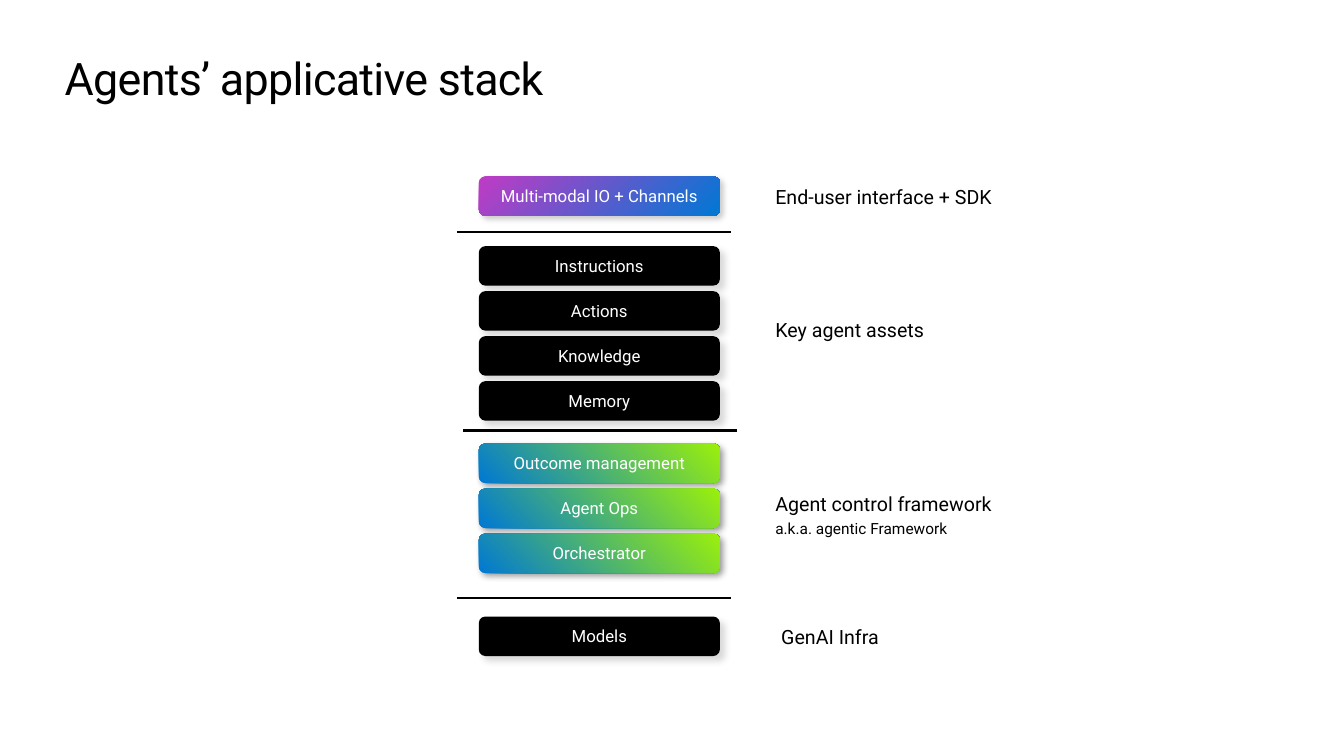
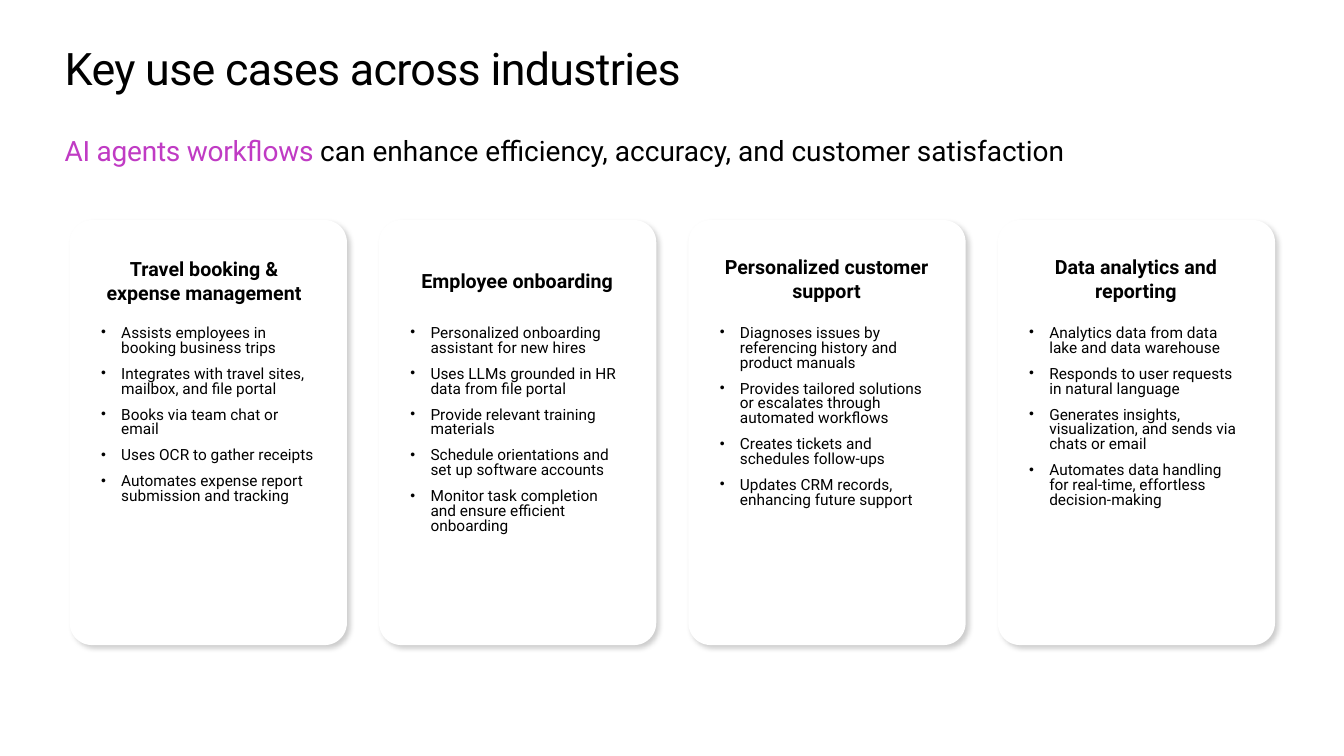
import pptx
import pptx.util
import pptx.dml.color
import pptx.enum.shapes
import pptx.enum.text
import pptx.oxml
import pptx.oxml.ns
import lxml.etree

Pt = pptx.util.Pt
RGB = pptx.dml.color.RGBColor.from_string
ALIGN = pptx.enum.text.PP_ALIGN
ANCHOR = pptx.enum.text.MSO_ANCHOR
ROUNDED = pptx.enum.shapes.MSO_SHAPE.ROUNDED_RECTANGLE
qn = pptx.oxml.ns.qn

COLORS = {"ink": "000000", "paper": "FFFFFF", "purple": "C03BC4",
          "blue": "0078D4", "lime": "9BF00B", "smoke": "454142"}
FONT = "Roboto"

prs = pptx.Presentation()
prs.slide_width = pptx.util.Inches(13.3333)
prs.slide_height = pptx.util.Inches(7.5)
cell = prs.slide_width / 160
LEFT, WIDTH = 7.7, 144.6


def panel(s, x, y, w, h, fills, angle, shadow):
    sp = s.shapes.add_shape(ROUNDED, *[round(v * cell) for v in (x, y, w, h)])
    sp.line.fill.background()
    if len(fills) == 1:
        sp.fill.solid()
        sp.fill.fore_color.rgb = RGB(COLORS[fills[0]])
    else:
        sp.fill.gradient()
        sp.fill.gradient_angle = angle
        for stop, name, position in zip(sp.fill.gradient_stops, fills, (0, 1)):
            stop.color.rgb = RGB(COLORS[name])
            stop.position = position
    sp.shadow.inherit = False
    color, alpha, blur, dist = shadow
    effects = sp._element.spPr.find(qn("a:effectLst"))
    outer = lxml.etree.SubElement(effects, qn("a:outerShdw"), blurRad=str(Pt(blur)),
                                  dist=str(Pt(dist)), dir="2700000", algn="tl", rotWithShape="0")
    clr = lxml.etree.SubElement(outer, qn("a:srgbClr"), val=COLORS[color])
    lxml.etree.SubElement(clr, qn("a:alpha"), val=str(alpha * 1000))
    return sp


def text(s, x, y, w, h, lines, size, margins=(0, 0), gap=0):
    tb = s.shapes.add_textbox(*[round(v * cell) for v in (x, y, w, h)])
    tf = tb.text_frame
    tf.word_wrap = True
    tf.margin_left = tf.margin_right = Pt(margins[0])
    tf.margin_top = tf.margin_bottom = Pt(margins[1])
    for i, line in enumerate(lines):
        p = tf.paragraphs[0] if i == 0 else tf.add_paragraph()
        p.add_run().text = line
        if i and gap:
            p.space_before = Pt(gap)
        p.font.name, p.font.size = FONT, Pt(size)
        p.font.color.rgb = RGB(COLORS["ink"])
    return tf


slides = []
for title, top in [("Agents’ applicative stack", 6), ("Key use cases across industries", 4.9)]:
    s = prs.slides.add_slide(prs.slide_layouts[6])
    tf = text(s, LEFT, top, WIDTH, 6.5, [title], 32)
    tf.paragraphs[0].runs[0]._r.get_or_add_rPr().set("spc", "-50")
    slides.append(s)

s = slides[0]
layers = [
    (21, ["Multi-modal IO + Channels"], ["purple", "blue"], 315, ("ink", 20, 4, 3)),
    (29.3, ["Instructions", "Actions", "Knowledge", "Memory"], ["ink"], 0, ("smoke", 20, 5, 5)),
    (52.8, ["Outcome management", "Agent Ops", "Orchestrator"], ["blue", "lime"], 45, ("ink", 40, 5, 3)),
    (73.4, ["Models"], ["ink"], 0, ("smoke", 20, 5, 5)),
]
for top, names, fills, angle, shadow in layers:
    for i, name in enumerate(names):
        sp = panel(s, 57, top + i * 5.36, 28.7, 4.7, fills, angle, shadow)
        tf = sp.text_frame
        tf.word_wrap = True
        tf.vertical_anchor = ANCHOR.MIDDLE
        p = tf.paragraphs[0]
        p.add_run().text = name
        p.alignment = ALIGN.CENTER
        p.font.name, p.font.size = FONT, Pt(12)
        p.font.color.rgb = RGB(COLORS["paper"])

for x, y in [(54.4, 27.6), (55.1, 51.25), (54.4, 71.2)]:
    ln = s.shapes.add_connector(pptx.enum.shapes.MSO_CONNECTOR.STRAIGHT,
                                *[round(v * cell) for v in (x, y, x + 32.65, y)])
    ln.line.color.rgb = RGB(COLORS["ink"])
    ln.line.width = Pt(1.5)
    lxml.etree.SubElement(ln._element.spPr, qn("a:effectLst"))

for x, y, lines in [
    (92.3, 22, ["End-user interface + SDK"]),
    (92.3, 37.9, ["Key agent assets"]),
    (92.3, 58.6, ["Agent control framework", "a.k.a. agentic Framework"]),
    (93, 74.4, ["GenAI Infra"]),
]:
    tf = text(s, x, y, 32.8, 2.8 * len(lines), lines, 14, gap=2)
    for p in tf.paragraphs[1:]:
        p.font.size = Pt(11)

s = slides[1]
tf = text(s, LEFT, 16.4, WIDTH, 3.6, ["AI agents workflows "], 20)
p = tf.paragraphs[0]
p.line_spacing = 0.9
r = p.runs[0]
r.font.color.rgb = RGB(COLORS["purple"])
r._r.get_or_add_rPr().set("spc", "-20")
p.add_run().text = "can enhance efficiency, accuracy, and customer satisfaction"

cards = [
    ("Travel booking & expense management", 30.6, 26.9, [
        "Assists employees in booking business trips",
        "Integrates with travel sites, mailbox, and file portal",
        "Books via team chat or email",
        "Uses OCR to gather receipts",
        "Automates expense report submission and tracking"]),
    ("Employee onboarding", 30.6, 27.8, [
        "Personalized onboarding assistant for new hires",
        "Uses LLMs grounded in HR data from file portal",
        "Provide relevant training materials",
        "Schedule orientations and set up software accounts",
        "Monitor task completion and ensure efficient onboarding"]),
    ("Personalized customer support", 30.35, 27.8, [
        "Diagnoses issues by referencing history and product manuals",
        "Provides tailored solutions or escalates through automated workflows",
        "Creates tickets and schedules follow-ups",
        "Updates CRM records, enhancing future support"]),
    ("Data analytics and reporting", 30.35, 27.8, [
        "Analytics data from data lake and data warehouse",
        "Responds to user requests in natural language",
        "Generates insights, visualization, and sends via chats or email",
        "Automates data handling for real-time, effortless decision-making"]),
]
for i, (heading, top, width, points) in enumerate(cards):
    x = 8.3 + i * 36.83
    sp = panel(s, x, 26.2, 33, 50.6, ["paper"], 0, ("ink", 20, 4, 3))
    sp.adjustments[0] = 0.08
    tf = text(s, x + 2.55, 38.3, 27.8, 35.3, points, 11, (7.2, 3.6), 8)
    for p in tf.paragraphs:
        pPr = p._p.get_or_add_pPr()
        pPr.set("marL", str(Pt(14.4)))
        pPr.set("indent", str(-Pt(14.4)))
        font = pPr.find(qn("a:defRPr"))
        for tag, key, value in [("a:buSzPct", "val", "90000"),
                                ("a:buFont", "typeface", "Arial"),
                                ("a:buChar", "char", "•")]:
            bullet = pptx.oxml.parse_xml(f'<{tag} xmlns:a="{pptx.oxml.ns.nsdecls("a").split(chr(34))[1]}" {key}="{value}"/>')
            font.addprevious(bullet)
        p.line_spacing = 0.8
    tf = text(s, x + 2.55, top, width, 5.6, [heading], 14, (7.2, 3.6))
    tf.vertical_anchor = ANCHOR.MIDDLE
    tf.paragraphs[0].alignment = ALIGN.CENTER
    tf.paragraphs[0].font.bold = True

prs.save("out.pptx")
